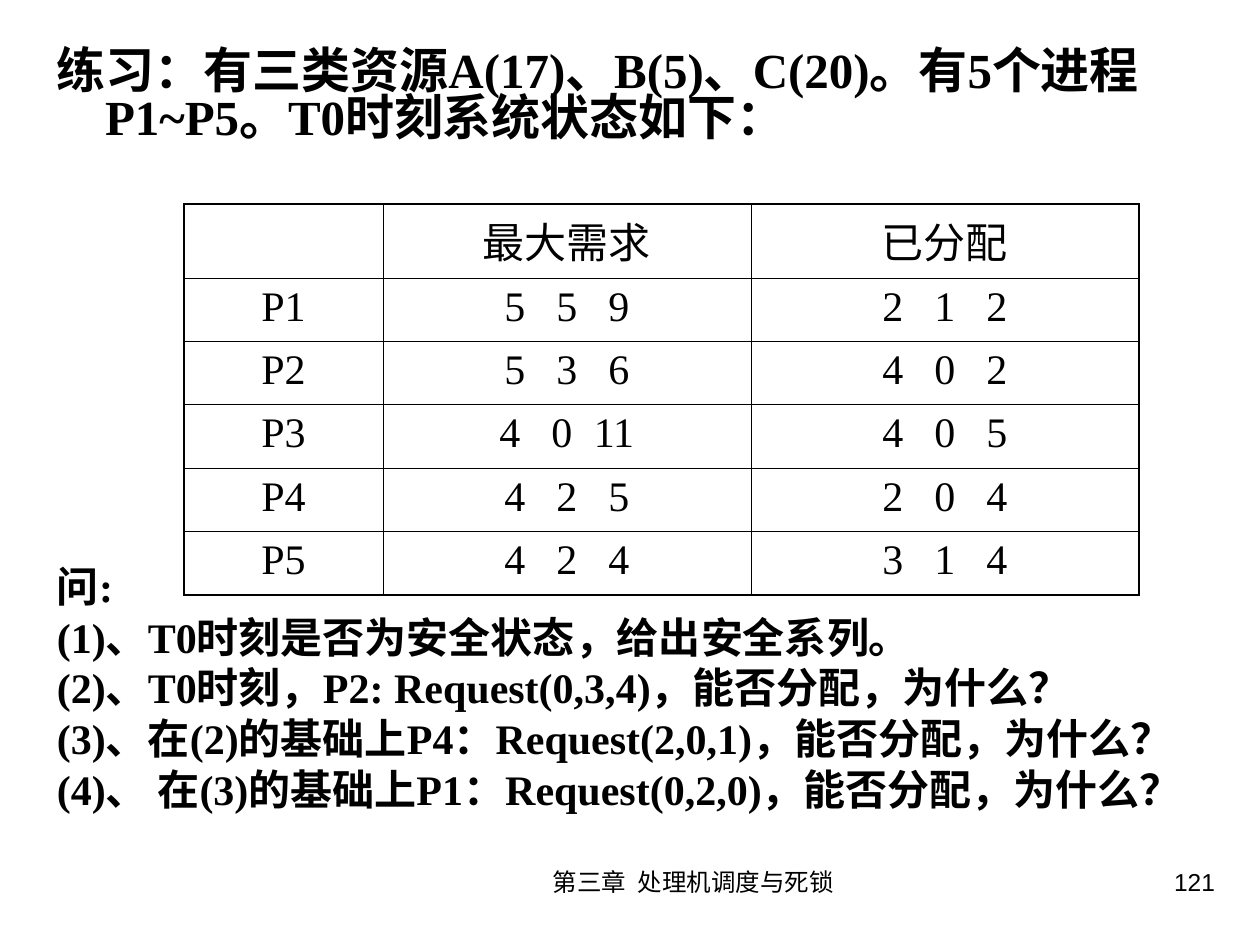
import itertools
from dataclasses import dataclass

import pptx
import pptx.dml.color
import pptx.enum.text
import pptx.oxml
import pptx.oxml.ns
import pptx.util
from lxml import etree

PX = 914400 / 126
ALIGN = pptx.enum.text.PP_ALIGN
qn = pptx.oxml.ns.qn


@dataclass(frozen=True)
class Theme:
    ink: str = "000000"
    serif: str = "Times New Roman"
    sans: str = "Arial"
    cjk: str = "Noto Sans CJK SC"
    lead: int = 28
    body: int = 24
    footer: int = 14
    outer_line: float = 1.08
    inner_line: float = 0.45
    line_spacing: float = 0.8
    question_gap: int = 6


T = Theme()


def add_runs(p, text, size, latin=T.serif, bold=False):
    """Add text as alternating Latin and Chinese runs, each in its own font."""
    for is_latin, chars in itertools.groupby(text, str.isascii):
        r = p.add_run()
        r.text = "".join(chars)
        r.font.size = pptx.util.Pt(size)
        r.font.bold = bold
        r.font.color.rgb = pptx.dml.color.RGBColor.from_string(T.ink)
        r.font.name = latin if is_latin else T.cjk
        ea = etree.SubElement(r.font._element, qn("a:ea"))
        ea.set("typeface", T.cjk)


def add_box(s, left, top, width, height):
    sp = s.shapes.add_textbox(*(round(v * PX) for v in (left, top, width, height)))
    tf = sp.text_frame
    tf.word_wrap = True
    tf.margin_left = tf.margin_right = round(13 * PX)
    tf.margin_top = tf.margin_bottom = round(6 * PX)
    return tf


prs = pptx.Presentation()
prs.slide_width = round(1260 * PX)
prs.slide_height = round(945 * PX)
s = prs.slides.add_slide(prs.slide_layouts[6])

# Problem statement and questions, both with a hanging indent
problem = [("练习：有三类资源A(17)、B(5)、C(20)。有5个进程P1~P5。T0时刻系统状态如下：", ALIGN.LEFT)]
questions = [
    ("问:", ALIGN.JUSTIFY),
    ("(1)、T0时刻是否为安全状态，给出安全系列。", ALIGN.JUSTIFY),
    ("(2)、T0时刻，P2: Request(0,3,4)，能否分配，为什么？", ALIGN.JUSTIFY),
    ("(3)、在(2)的基础上P4：Request(2,0,1)，能否分配，为什么？", ALIGN.JUSTIFY),
    ("(4)、 在(3)的基础上P1：Request(0,2,0)，能否分配，为什么？", ALIGN.LEFT),
]
for top, height, size, paragraphs in ((45, 130, T.lead, problem), (564, 344, T.body, questions)):
    tf = add_box(s, 44, top, 1179, height)
    for i, (text, align) in enumerate(paragraphs):
        p = tf.add_paragraph() if i else tf.paragraphs[0]
        p.alignment = align
        p.line_spacing = T.line_spacing
        if i:
            p.space_before = pptx.util.Pt(T.question_gap)
        pPr = p._p.get_or_add_pPr()
        pPr.set("marL", str(round(48 * PX)))
        pPr.set("indent", str(round(-48 * PX)))
        pPr.set("hangingPunct", "0")
        add_runs(p, text, size, bold=True)

# Resource table: one number each for resources A, B and C
rows = [
    ("", "最大需求", "已分配"),
    ("P1", (5, 5, 9), (2, 1, 2)),
    ("P2", (5, 3, 6), (4, 0, 2)),
    ("P3", (4, 0, 11), (4, 0, 5)),
    ("P4", (4, 2, 5), (2, 0, 4)),
    ("P5", (4, 2, 4), (3, 1, 4)),
]
col_widths = [199, 368, 388]
row_heights = [74, 63, 63, 64, 63, 64]
cell_inset, number_pitch, half_digit = 13, 52, 5
frame = s.shapes.add_table(
    len(rows), len(col_widths), round(184 * PX), round(204 * PX),
    round(sum(col_widths) * PX), round(sum(row_heights) * PX))
table = frame.table
table.first_row = table.horz_banding = False
for column, width in zip(table.columns, col_widths):
    column.width = round(width * PX)
for row, height in zip(table.rows, row_heights):
    row.height = round(height * PX)

for i, values in enumerate(rows):
    for j, value in enumerate(values):
        cell = table.cell(i, j)
        cell.margin_left = cell.margin_right = round(cell_inset * PX)
        cell.margin_top = cell.margin_bottom = round(6 * PX)
        p = cell.text_frame.paragraphs[0]
        if isinstance(value, tuple):
            p.alignment = ALIGN.LEFT
            tabs = etree.SubElement(p._p.get_or_add_pPr(), qn("a:tabLst"))
            extra_digits = sum(n > 9 for n in value)
            middle = col_widths[j] / 2 - cell_inset - extra_digits * half_digit
            for k in (-1, 0, 1):
                tab = etree.SubElement(tabs, qn("a:tab"))
                tab.set("pos", str(round((middle + k * number_pitch) * PX)))
                tab.set("algn", "ctr")
            value = "".join(f"\t{n}" for n in value)
        else:
            p.alignment = ALIGN.CENTER
        add_runs(p, value, T.body)

        tcPr = cell._tc.get_or_add_tcPr()
        edges = {"lnL": j == 0, "lnR": j == len(values) - 1,
                 "lnT": i == 0, "lnB": i == len(rows) - 1}
        for name, is_outer in edges.items():
            ln = etree.SubElement(tcPr, qn(f"a:{name}"))
            ln.set("w", str(pptx.util.Pt(T.outer_line if is_outer else T.inner_line)))
            fill = etree.SubElement(ln, qn("a:solidFill"))
            etree.SubElement(fill, qn("a:srgbClr")).set("val", T.ink)
        cell.fill.background()

# Footer: chapter title and page number
for left, width, align, text in (
        (494, 399, ALIGN.CENTER, "第三章  处理机调度与死锁"),
        (966, 262, ALIGN.RIGHT, "121")):
    p = add_box(s, left, 861, width, 63).paragraphs[0]
    p.alignment = align
    add_runs(p, text, T.footer, latin=T.sans)

prs.save("out.pptx")
